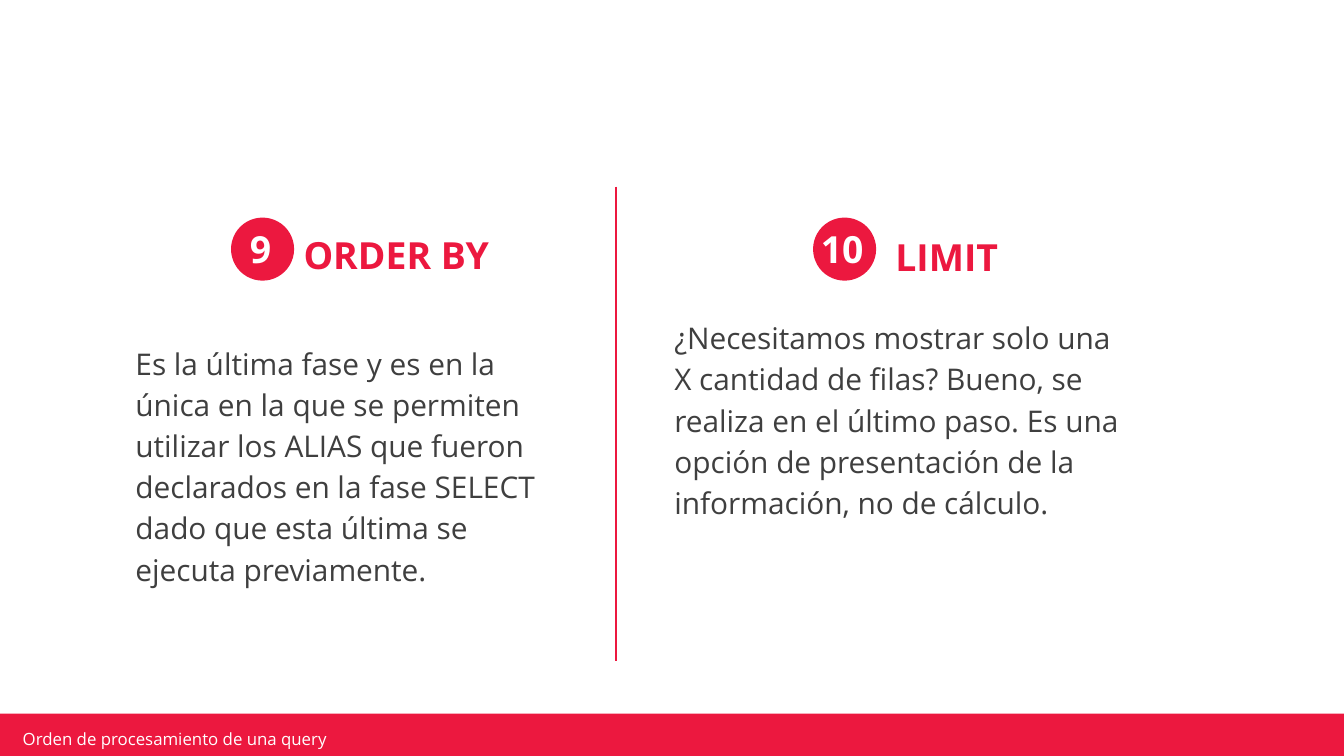
from dataclasses import dataclass

from lxml import etree
from pptx import Presentation
from pptx.dml.color import RGBColor
from pptx.enum import shapes, text
from pptx.oxml import ns
from pptx.util import Pt


@dataclass(frozen=True)
class Theme:
    face: str = "Open Sans"
    red: RGBColor = RGBColor(0xEC, 0x18, 0x3F)
    ink: RGBColor = RGBColor(0x3F, 0x3F, 0x3F)
    white: RGBColor = RGBColor(0xFF, 0xFF, 0xFF)
    head: int = 20
    body: int = 16
    foot: int = 9


THEME = Theme()
KIND = shapes.MSO_SHAPE


def assign(item, values):
    for name, value in values.items():
        setattr(item, name, value)


def add_text(slide, box, words, size, color, bold=False, pad=(7.2, 7.2),
             lead=None, wrap=True, anchor=text.MSO_ANCHOR.TOP):
    """Add a text box; pad holds the side and the top/bottom insets."""
    frame = slide.shapes.add_textbox(*map(Pt, box)).text_frame
    side, edge = map(Pt, pad)
    assign(frame, {
        "word_wrap": wrap, "vertical_anchor": anchor,
        "margin_left": side, "margin_right": side,
        "margin_top": edge, "margin_bottom": edge,
    })
    para = frame.paragraphs[0]
    para.line_spacing = lead
    run = para.add_run()
    run.text = words
    assign(run.font, {"name": THEME.face, "size": Pt(size), "bold": bold})
    run.font.color.rgb = color


def add_fill(slide, kind, box):
    """Add a plain red shape without outline or shadow."""
    shape = slide.shapes.add_shape(kind, *map(Pt, box))
    shape.shadow.inherit = False
    shape.fill.solid()
    shape.fill.fore_color.rgb = THEME.red
    shape.line.fill.background()


def add_rule(slide, x, top, end):
    line = slide.shapes.add_connector(
        shapes.MSO_CONNECTOR.STRAIGHT, Pt(x), Pt(top), Pt(x), Pt(end))
    line.line.color.rgb = THEME.red
    line.line.width = Pt(1.5)
    etree.SubElement(line._element.spPr, ns.qn("a:effectLst"))


def add_step(slide, step):
    """Add one query step: numbered dot, heading and explanation."""
    add_text(slide, step["body"], step["words"], THEME.body, THEME.ink,
             lead=1.15)
    add_text(slide, step["head"], step["name"], THEME.head, THEME.red,
             bold=True)
    add_fill(slide, KIND.OVAL, (step["dot"], 116.6, 33.8, 33.8))
    left, width = step["mark"]
    add_text(slide, (left, 113.8, width, 38.9), step["num"], THEME.head,
             THEME.white, bold=True)


def add_footer(slide, words):
    add_fill(slide, KIND.RECTANGLE, (-1.4, 382.3, 722.2, 25.9))
    add_text(slide, (8.6, 390.2, 172, 10.8), words, THEME.foot, THEME.white,
             pad=(3.6, 1.4), wrap=False, anchor=text.MSO_ANCHOR.MIDDLE)


STEPS = [
    {
        "num": "9", "name": "ORDER BY",
        "words": "Es la última fase y es en la única en la que se permiten "
                 "utilizar los ALIAS que fueron declarados en la fase SELECT "
                 "dado que esta última se ejecuta previamente.",
        "dot": 123.8, "mark": (126.7, 25.2),
        "head": (155.5, 117.4, 159.1, 55.4),
        "body": (65.5, 175, 240.5, 145.4),
    },
    {
        "num": "10", "name": "LIMIT",
        "words": "¿Necesitamos mostrar solo una X cantidad de filas? Bueno, "
                 "se realiza en el último paso. Es una opción de presentación "
                 "de la información, no de cálculo.",
        "dot": 435.6, "mark": (432.7, 49),
        "head": (472.6, 118.1, 170.6, 38.9),
        "body": (354.2, 161.3, 257.8, 200.2),
    },
]


def main():
    deck = Presentation()
    assign(deck, {"slide_width": Pt(720), "slide_height": Pt(405)})
    slide = deck.slides.add_slide(deck.slide_layouts[6])
    add_footer(slide, "Orden de procesamiento de una query")
    add_rule(slide, 330, 100, 354.3)
    for step in STEPS:
        add_step(slide, step)
    deck.save("out.pptx")


if __name__ == "__main__":
    main()
